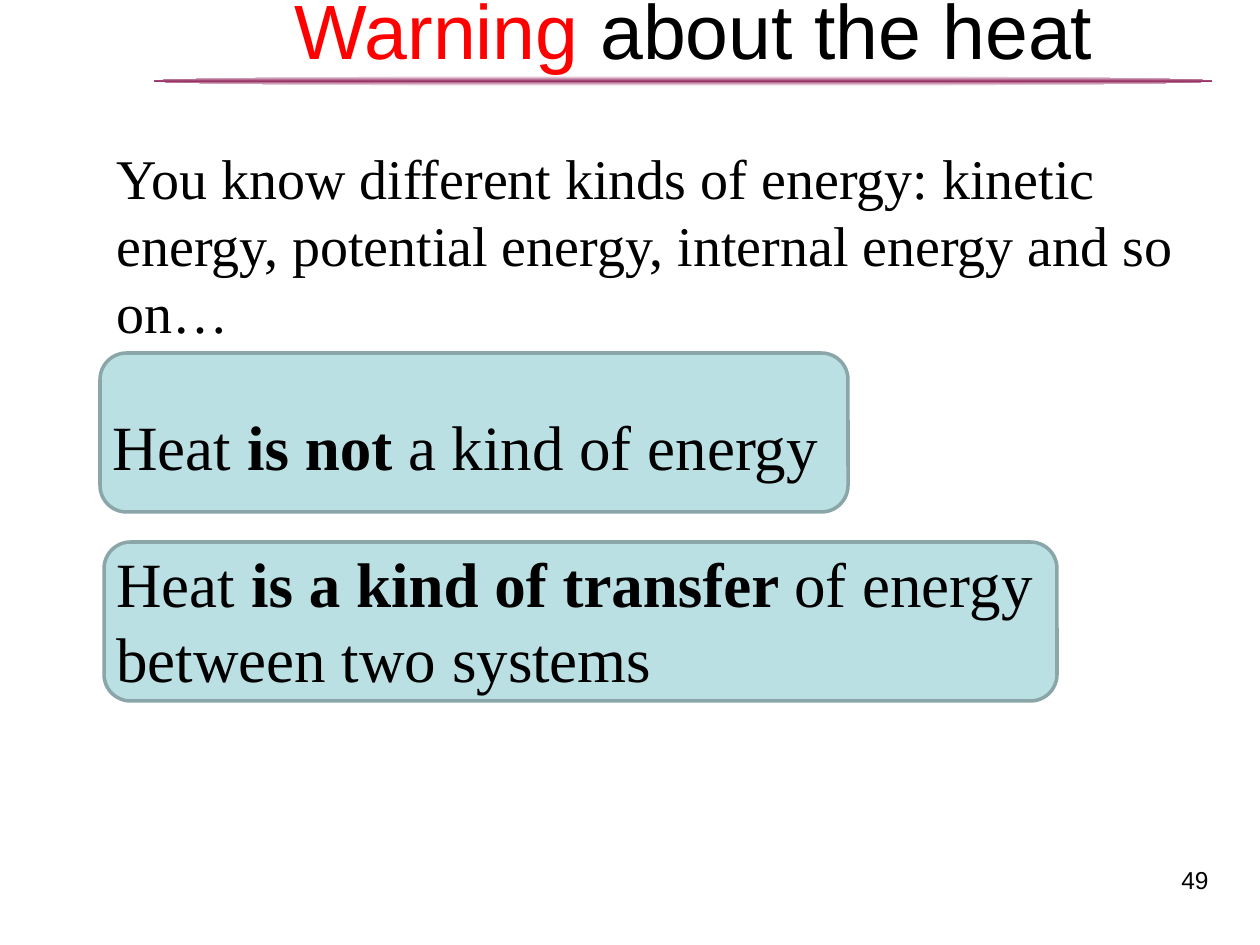
from copy import deepcopy
from pptx import Presentation
from pptx.dml.color import RGBColor
from pptx.enum.shapes import MSO_SHAPE
from pptx.enum.text import MSO_ANCHOR, MSO_AUTO_SIZE, PP_ALIGN
from pptx.util import Emu, Pt

COLORS = {"text": "000000", "warning": "FF0000", "box": "BBE0E3",
          "border": "8AA6A8", "rule": "993366", "paper": "FFFFFF"}


def px(n):
    return Emu(round(n * 914400 / 126))


def color(name):
    return RGBColor.from_string(COLORS[name])


def place(sp, box):
    sp.left, sp.top, sp.width, sp.height = map(px, box)


def write(tf, runs, size, font, align=PP_ALIGN.LEFT):
    tf.word_wrap = True
    tf.auto_size = MSO_AUTO_SIZE.NONE
    tf.vertical_anchor = MSO_ANCHOR.TOP
    p = tf.paragraphs[0]
    p.alignment = align
    for text, bold, name in runs:
        r = p.add_run()
        r.text = text
        r.font.size = Pt(size)
        r.font.name = font
        r.font.bold = bold
        r.font.color.rgb = color(name)


def add_title(s, box, runs):
    sp = s.shapes.title
    place(sp, box)
    write(sp.text_frame, runs, 44, "Arial", PP_ALIGN.CENTER)


def add_text(s, box, runs, size, font="Times New Roman", align=PP_ALIGN.LEFT):
    tf = s.shapes.add_textbox(*map(px, box)).text_frame
    write(tf, runs, size, font, align)


def add_rule(s, box):
    sp = s.shapes.add_shape(MSO_SHAPE.OVAL, *map(px, box))
    sp.shadow.inherit = False
    sp.line.fill.background()
    sp.fill.gradient()
    sp.fill.gradient_angle = 90
    gs_list = sp.element.spPr.gradFill.gsLst
    gs_list.append(deepcopy(gs_list[-1]))
    stops = sp.fill.gradient_stops
    for stop, position, name in zip(stops, (0, 0.5, 1), ("paper", "rule", "paper")):
        stop.position = position
        stop.color.rgb = color(name)


def add_panel(s, box):
    sp = s.shapes.add_shape(MSO_SHAPE.ROUNDED_RECTANGLE, *map(px, box))
    sp.shadow.inherit = False
    sp.fill.solid()
    sp.fill.fore_color.rgb = color("box")
    sp.line.color.rgb = color("border")
    sp.line.width = Pt(2)


def add_statement(s, box, start, stress, end):
    runs = [(start, False, "text"), (stress, True, "text"), (end, False, "text")]
    add_text(s, box, runs, 36)


def main():
    prs = Presentation()
    prs.slide_width, prs.slide_height = px(1260), px(945)
    s = prs.slides.add_slide(prs.slide_layouts[5])
    add_rule(s, (154, 76, 1058, 10))
    add_panel(s, (104, 542, 953, 159))
    add_panel(s, (100, 353, 748, 159))
    add_title(s, (127, -24, 1134, 158),
              [("Warning", False, "warning"), (" about the heat", False, "text")])
    add_text(s, (927, 859, 294, 57), [("49", False, "text")], 14, "Arial",
             PP_ALIGN.RIGHT)
    intro = ("You know different kinds of energy: kinetic energy, "
             "potential energy, internal energy and so on…")
    add_text(s, (104, 137, 1091, 217), [(intro, False, "text")], 32)
    add_statement(s, (100, 401, 988, 89), "Heat ", "is not ", "a kind of energy")
    add_statement(s, (104, 538, 988, 165), "Heat ", "is a kind of transfer ",
                  "of energy between two systems")
    prs.save("out.pptx")


if __name__ == "__main__":
    main()
